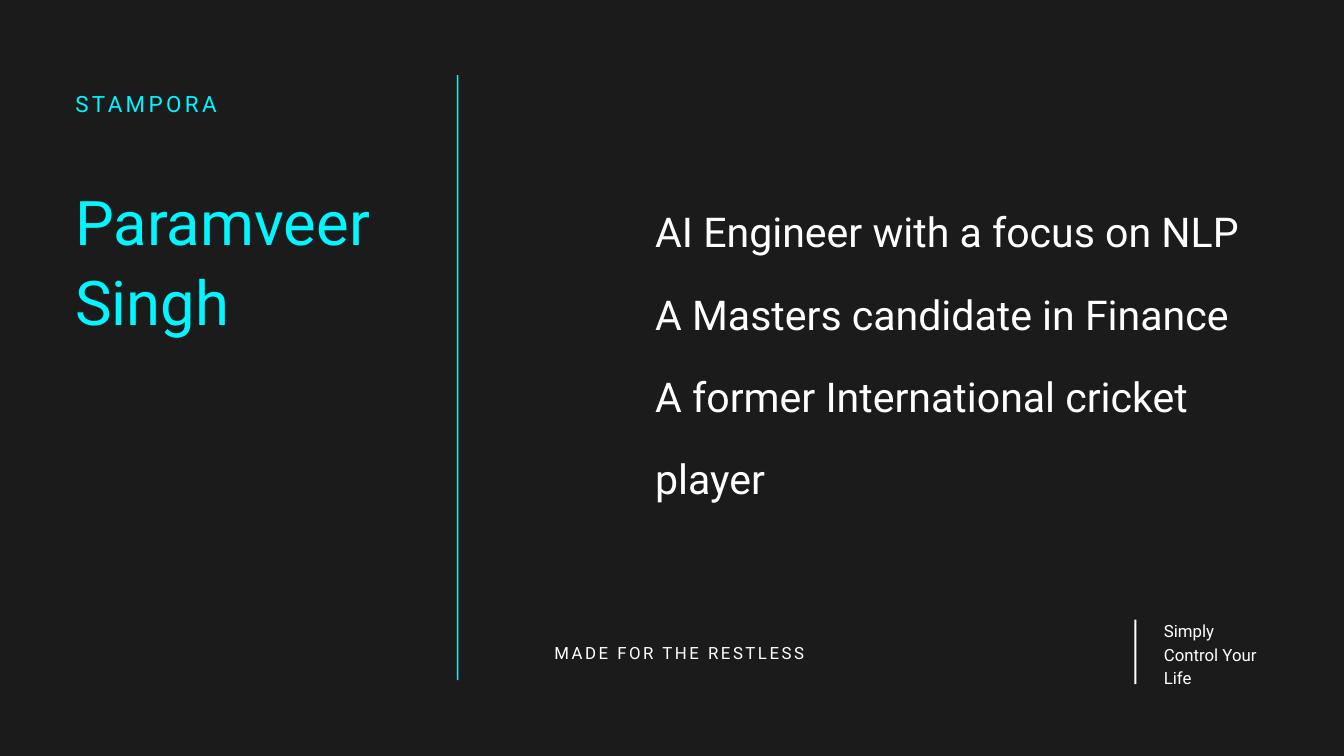
import pptx
import pptx.dml.color
import pptx.enum.shapes
import pptx.enum.text
import pptx.util
from pptx.util import Inches

CYAN, WHITE, DARK = "00F7FF", "FFFFFF", "1B1B1B"


def paint(fill, color):
    fill.solid()
    fill.fore_color.rgb = pptx.dml.color.RGBColor.from_string(color)


def write(shape, place, text, size, color, lead, track=0):
    """Place a text shape; lead is line spacing and track letter spacing, in points."""
    shape.left, shape.top, shape.width, shape.height = map(Inches, place)
    frame = shape.text_frame
    frame.text = text
    frame.word_wrap = True
    frame.auto_size = pptx.enum.text.MSO_AUTO_SIZE.NONE
    frame.vertical_anchor = pptx.enum.text.MSO_ANCHOR.TOP
    frame.margin_left = frame.margin_right = 0
    frame.margin_top = frame.margin_bottom = 0
    for para in frame.paragraphs:
        para.alignment = pptx.enum.text.PP_ALIGN.LEFT
        para.line_spacing = pptx.util.Pt(lead)
        para.space_before = pptx.util.Pt(0)
        for run in para.runs:
            run.font.name = "Roboto"
            run.font.size = pptx.util.Pt(size)
            paint(run.font.fill, color)
            if track:
                run.font._element.set("spc", str(round(track * 100)))


deck = pptx.Presentation()
deck.slide_width, deck.slide_height = Inches(20), Inches(11.25)
slide = deck.slides.add_slide(deck.slide_layouts[5])
paint(slide.background.fill, DARK)

# Vertical rules
rules = [
    ((6.8, 1.12, 0.02, 9), CYAN),
    ((16.88, 9.22, 0.03, 0.96), WHITE),
]
for place, color in rules:
    rule = slide.shapes.add_shape(
        pptx.enum.shapes.MSO_SHAPE.RECTANGLE, *map(Inches, place))
    rule.shadow.inherit = False
    paint(rule.fill, color)
    rule.line.fill.background()

write(slide.shapes.title, (1.12, 2.65, 5.57, 2.32),
      "Paramveer\nSingh", 66, CYAN, 85.8)

facts = "\n".join([
    "AI Engineer with a focus on NLP",
    "A Masters candidate in Finance",
    "A former International cricket player",
])
texts = [
    ((1.12, 1.28, 5.89, 0.44), "STAMPORA", 24, CYAN, 33.6, 3.6),
    ((9.75, 2.59, 9.67, 4.77), facts, 44, WHITE, 88),
    ((8.25, 9.52, 6.58, 0.34), "MADE FOR THE RESTLESS", 18, WHITE, 25.2, 2.7),
    ((17.32, 9.19, 1.56, 1.01), "Simply Control Your Life", 18, WHITE, 25.2),
]
for place, *style in texts:
    write(slide.shapes.add_textbox(0, 0, 0, 0), place, *style)

deck.save("out.pptx")
